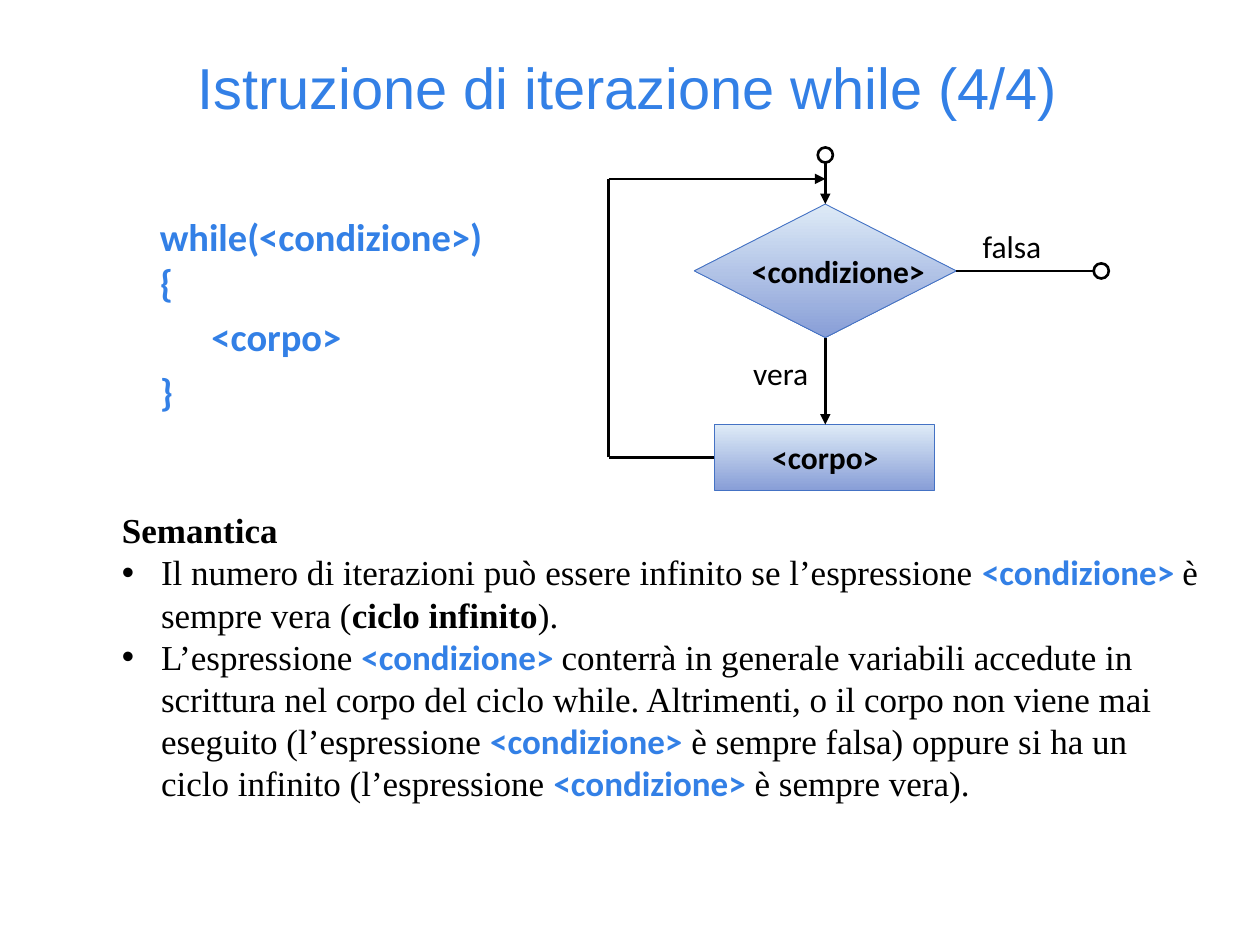
from lxml import etree
from pptx import Presentation
from pptx.dml.color import RGBColor
from pptx.enum import shapes as sh, text as tx
from pptx.oxml import ns
from pptx.util import Inches, Pt

BLUE = RGBColor(0x33, 0x80, 0xE6)
BLACK = RGBColor(0, 0, 0)
NODE_TOP = RGBColor(0xDE, 0xEB, 0xF7)
NODE_BOTTOM = RGBColor(0x88, 0x9E, 0xD7)
NODE_EDGE = RGBColor(0x44, 0x72, 0xC4)
SERIF = "Times New Roman"
CONDITION = "<condizione>"


def style(run, size, font, color=BLACK, bold=False):
    """Format one run."""
    run.font.size, run.font.name, run.font.bold = Pt(size), font, bold
    run.font.color.rgb = color


def text_frame(slide, left, top, width, height):
    """Add a wrapping text box and return its frame."""
    box = slide.shapes.add_textbox(*map(Inches, (left, top, width, height)))
    box.text_frame.word_wrap = True
    return box.text_frame


def label(slide, words, left, top, width, bold=False):
    """Add a one-line diagram label."""
    frame = text_frame(slide, left, top, width, 0.4)
    frame.text = words
    style(frame.paragraphs[0].runs[0], 18, "Calibri", bold=bold)


def add_title(slide, left, top, width, height):
    """Place the centred slide title."""
    frame = text_frame(slide, left, top, width, height)
    frame.text = "Istruzione di iterazione while (4/4)"
    heading = frame.paragraphs[0]
    heading.alignment, heading.line_spacing = tx.PP_ALIGN.CENTER, 0.9
    style(heading.runs[0], 33, "Arial", BLUE)


def indent(paragraph, margin, first=0):
    """Set the left margin and first-line indent; return the properties."""
    props = paragraph._p.get_or_add_pPr()
    props.set("marL", str(Inches(margin)))
    props.set("indent", str(Inches(first)))
    return props


def add_syntax(slide, left, top, width, height):
    """Place the syntax of the while statement."""
    frame = text_frame(slide, left, top, width, height)
    frame.text = f"while({CONDITION})\n{{\n<corpo>\n}}"
    for number, line in enumerate(frame.paragraphs):
        style(line.runs[0], 22, "Calibri", BLUE, True)
        if number != 1:
            line.line_spacing = 0.9
        if number > 1:
            line.space_before = Pt(7.5)
    indent(frame.paragraphs[2], 0.41)


def add_semantics(slide, left, top, width, height):
    """Place the semantics heading and its bullets; ** marks bold words."""
    frame = text_frame(slide, left, top, width, height)
    frame.text = "Semantica"
    style(frame.paragraphs[0].runs[0], 20, SERIF, bold=True)
    bullets = (
        f"Il numero di iterazioni può essere infinito se l’espressione **{CONDITION} **"
        "è sempre vera (**ciclo infinito**).",
        f"L’espressione **{CONDITION} **conterrà in generale variabili accedute in "
        "scrittura nel corpo del ciclo while. Altrimenti, o il corpo non viene mai "
        f"eseguito (l’espressione **{CONDITION}** è sempre falsa) oppure si ha un "
        f"ciclo infinito (l’espressione **{CONDITION}** è sempre vera).",
    )
    for bullet in bullets:
        item = frame.add_paragraph()
        props = indent(item, 0.31, -0.31)
        etree.SubElement(props, ns.qn("a:buFont")).set("typeface", "Arial")
        etree.SubElement(props, ns.qn("a:buChar")).set("char", "•")
        for number, part in enumerate(bullet.split("**")):
            run = item.add_run()
            run.text = part
            code = part.startswith(CONDITION)
            style(run, 20, "Calibri" if code else SERIF,
                  BLUE if code else BLACK, number % 2 == 1)


def add_node(slide, kind, left, top, width, height):
    """Draw a gradient flowchart node."""
    node = slide.shapes.add_shape(kind, *map(Inches, (left, top, width, height)))
    node.shadow.inherit = False
    node.fill.gradient()
    node.fill.gradient_angle = 270
    for stop, color in zip(node.fill.gradient_stops, (NODE_TOP, NODE_BOTTOM)):
        stop.color.rgb = color
    node.line.color.rgb, node.line.width = NODE_EDGE, Pt(0.5)


def add_terminal(slide, left, top, size=0.12):
    """Draw a hollow entry or exit circle."""
    circle = slide.shapes.add_shape(
        sh.MSO_SHAPE.FLOWCHART_CONNECTOR, *map(Inches, (left, top, size, size)))
    circle.shadow.inherit = False
    circle.fill.background()
    circle.line.color.rgb, circle.line.width = BLACK, Pt(1.5)


def add_flow(slide, start, end, arrow=False):
    """Draw a straight flow line, with an arrowhead if asked."""
    flow = slide.shapes.add_connector(
        sh.MSO_CONNECTOR.STRAIGHT, *map(Inches, (*start, *end)))
    flow.line.color.rgb, flow.line.width = BLACK, Pt(1.5)
    if arrow:
        etree.SubElement(flow.line._get_or_add_ln(), ns.qn("a:tailEnd")).set("type", "triangle")
    etree.SubElement(flow._element.spPr, ns.qn("a:effectLst"))


def add_flowchart(slide, left, top):
    """Draw the loop flowchart from its upper left corner."""
    axis, loop_y = left + 1.72, top + 0.25
    test_top, test_mid, test_bottom = top + 0.45, top + 0.98, top + 1.51
    body_left, body_top, body_mid = left + 0.84, top + 2.2, top + 2.46

    add_node(slide, sh.MSO_SHAPE.FLOWCHART_DECISION, left + 0.68, test_top, 2.08, 1.06)
    label(slide, CONDITION, left + 1.04, test_top + 0.33, 1.7, True)
    add_node(slide, sh.MSO_SHAPE.FLOWCHART_PROCESS, body_left, body_top, 1.75, 0.52)
    label(slide, "<corpo>", body_left + 0.36, body_top + 0.06, 1.17, True)
    add_terminal(slide, axis - 0.06, top)
    add_terminal(slide, left + 3.85, test_mid - 0.06)
    label(slide, "falsa", left + 2.87, top + 0.58, 0.8)
    label(slide, "vera", left + 1.05, top + 1.59, 0.96)

    add_flow(slide, (axis, top + 0.12), (axis, test_top), True)
    add_flow(slide, (axis, test_bottom), (axis, body_top), True)
    add_flow(slide, (left + 2.76, test_mid), (left + 3.86, test_mid))
    add_flow(slide, (body_left, body_mid), (left, body_mid))
    add_flow(slide, (left, body_mid), (left, loop_y))
    add_flow(slide, (left, loop_y), (axis, loop_y), True)


deck = Presentation()
deck.slide_width, deck.slide_height = Inches(10), Inches(7.5)
page = deck.slides.add_slide(deck.slide_layouts[6])
add_title(page, 0.23, 0.42, 9.5, 0.68)
add_syntax(page, 1.17, 1.68, 2.79, 1.7)
add_semantics(page, 0.87, 3.99, 8.77, 2.79)
add_flowchart(page, 4.83, 1.17)
deck.save("out.pptx")
